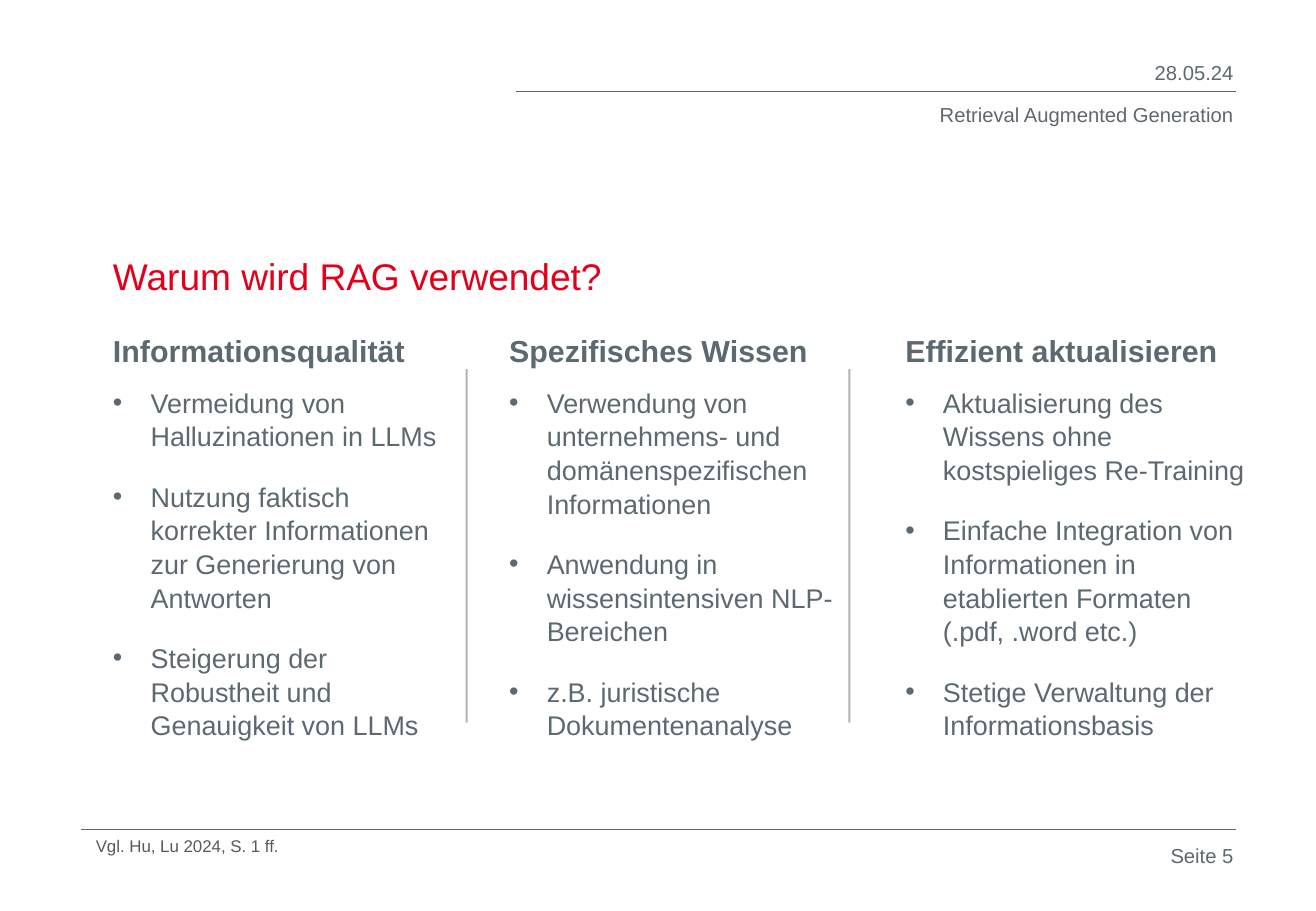
from dataclasses import dataclass

from lxml import etree
from pptx import Presentation
from pptx.dml.color import RGBColor as RGB
from pptx.enum.shapes import MSO_CONNECTOR as Connector
from pptx.enum.text import MSO_ANCHOR as Anchor, MSO_AUTO_SIZE as AutoSize, PP_ALIGN as Align
from pptx.oxml.ns import qn
from pptx.util import Inches, Pt


@dataclass(frozen=True)
class Theme:
    font: str = "Arial"
    red: RGB = RGB(0xE2, 0x00, 0x1A)
    slate: RGB = RGB(0x5C, 0x69, 0x71)
    grey: RGB = RGB(0x59, 0x59, 0x59)
    title: int = 22
    heading: int = 18
    bullet: int = 16
    label: int = 12
    source: int = 10


THEME = Theme()

COLUMNS = [
    ("Informationsqualität", [
        "Vermeidung von Halluzinationen in LLMs",
        "Nutzung faktisch korrekter Informationen zur Generierung von Antworten",
        "Steigerung der Robustheit und Genauigkeit von LLMs",
    ]),
    ("Spezifisches Wissen", [
        "Verwendung von unternehmens- und domänenspezifischen Informationen",
        "Anwendung in wissensintensiven NLP-Bereichen",
        "z.B. juristische Dokumentenanalyse",
    ]),
    ("Effizient aktualisieren", [
        "Aktualisierung des Wissens ohne kostspieliges Re-Training",
        "Einfache Integration von Informationen in etablierten Formaten (.pdf, .word etc.)",
        "Stetige Verwaltung der Informationsbasis",
    ]),
]


def place(shape, left, top, width, height):
    shape.left, shape.top = Inches(left), Inches(top)
    shape.width, shape.height = Inches(width), Inches(height)


def style(paragraph, size, color=THEME.slate, bold=False):
    font = paragraph.font
    font.name, font.size, font.bold = THEME.font, Pt(size), bold
    font.color.rgb = color


def set_bullet(paragraph, indent=0.0, char=None):
    properties = paragraph._p.get_or_add_pPr()
    properties.set("marL", str(Inches(indent)))
    properties.set("indent", str(-Inches(indent)))
    if char:
        etree.SubElement(properties, qn("a:buFont")).set("typeface", THEME.font)
        etree.SubElement(properties, qn("a:buChar")).set("char", char)
    else:
        etree.SubElement(properties, qn("a:buNone"))


def add_label(slide, text, box, size=THEME.label, color=THEME.slate, align=Align.RIGHT):
    label = slide.shapes.add_textbox(*map(Inches, box))
    label.text_frame.word_wrap = True
    paragraph = label.text_frame.paragraphs[0]
    paragraph.text, paragraph.alignment = text, align
    style(paragraph, size, color)


def add_rule(slide, start, end, width=0.25, opacity=100):
    rule = slide.shapes.add_connector(Connector.STRAIGHT, *map(Inches, (*start, *end)))
    rule.line.width = Pt(width)
    rule.line.color.rgb = THEME.slate
    etree.SubElement(rule._element.spPr, qn("a:effectLst"))
    if opacity < 100:
        color = rule._element.spPr.find(".//" + qn("a:srgbClr"))
        etree.SubElement(color, qn("a:alpha")).set("val", str(opacity * 1000))


def add_header(slide, left, top, width, height):
    right = left + width
    add_rule(slide, (left, top + 0.3), (right, top + 0.3))
    add_label(slide, "28.05.24", (right - 2.08, top, 2.16, 0.31))
    add_label(slide, "Retrieval Augmented Generation",
              (right - 3.25, top + 0.34, 3.33, height - 0.34))


def add_footer(slide, left, top, width, height):
    right = left + width
    add_rule(slide, (left, top), (right, top))
    add_label(slide, "Vgl. Hu, Lu 2024, S. 1 ff.", (left + 0.02, top, 8.74, 0.27),
              THEME.source, THEME.grey, Align.LEFT)
    add_label(slide, "Seite 5", (right - 0.92, top + 0.06, 1, height - 0.06))


def fill_title(title, box):
    place(title, *box)
    frame = title.text_frame
    frame.auto_size, frame.vertical_anchor = AutoSize.NONE, Anchor.BOTTOM
    paragraph = frame.paragraphs[0]
    paragraph.text, paragraph.alignment = "Warum wird RAG verwendet?", Align.LEFT
    style(paragraph, THEME.title, THEME.red)


def fill_column(column, heading, points, box):
    place(column, *box)
    frame = column.text_frame
    frame.auto_size, frame.vertical_anchor = AutoSize.NONE, Anchor.TOP
    frame.text = "\n".join([heading, *points])
    for paragraph in frame.paragraphs:
        paragraph.line_spacing = 1.04
        paragraph.space_before = paragraph.space_after = Pt(0)
    headline, *items = frame.paragraphs
    set_bullet(headline)
    style(headline, THEME.heading, bold=True)
    for item in items:
        item.space_before, item.space_after = Pt(9.8), Pt(6)
        set_bullet(item, 0.31, "•")
        style(item, THEME.bullet)


def add_columns(slide, bodies, left, top, width, height):
    column_width, pitch = 3.07, (width - 3.07) / (len(COLUMNS) - 1)
    for i, (body, (heading, points)) in enumerate(zip(bodies, COLUMNS)):
        fill_column(body, heading, points, (left + i * pitch, top, column_width, height))
    # Dividers between the columns
    for i in range(len(COLUMNS) - 1):
        x = left + 3.01 + i * 3.15
        add_rule(slide, (x, top + 0.37), (x, top + 3.28), 1.25, 50)


def build_slide(deck):
    # The comparison layout offers a title and four bodies
    slide = deck.slides.add_slide(deck.slide_layouts[4])
    title, *bodies, spare = slide.placeholders
    spare._element.getparent().remove(spare._element)
    add_header(slide, 4.25, 0.45, 5.92, 0.84)
    fill_title(title, (0.83, 1.58, 9.33, 0.92))
    add_columns(slide, bodies, 0.83, 2.67, 9.59, 4)
    add_footer(slide, 0.67, 6.83, 9.5, 0.56)


def main():
    deck = Presentation()
    deck.slide_width, deck.slide_height = Inches(10.83), Inches(7.5)
    build_slide(deck)
    deck.save("out.pptx")


if __name__ == "__main__":
    main()
